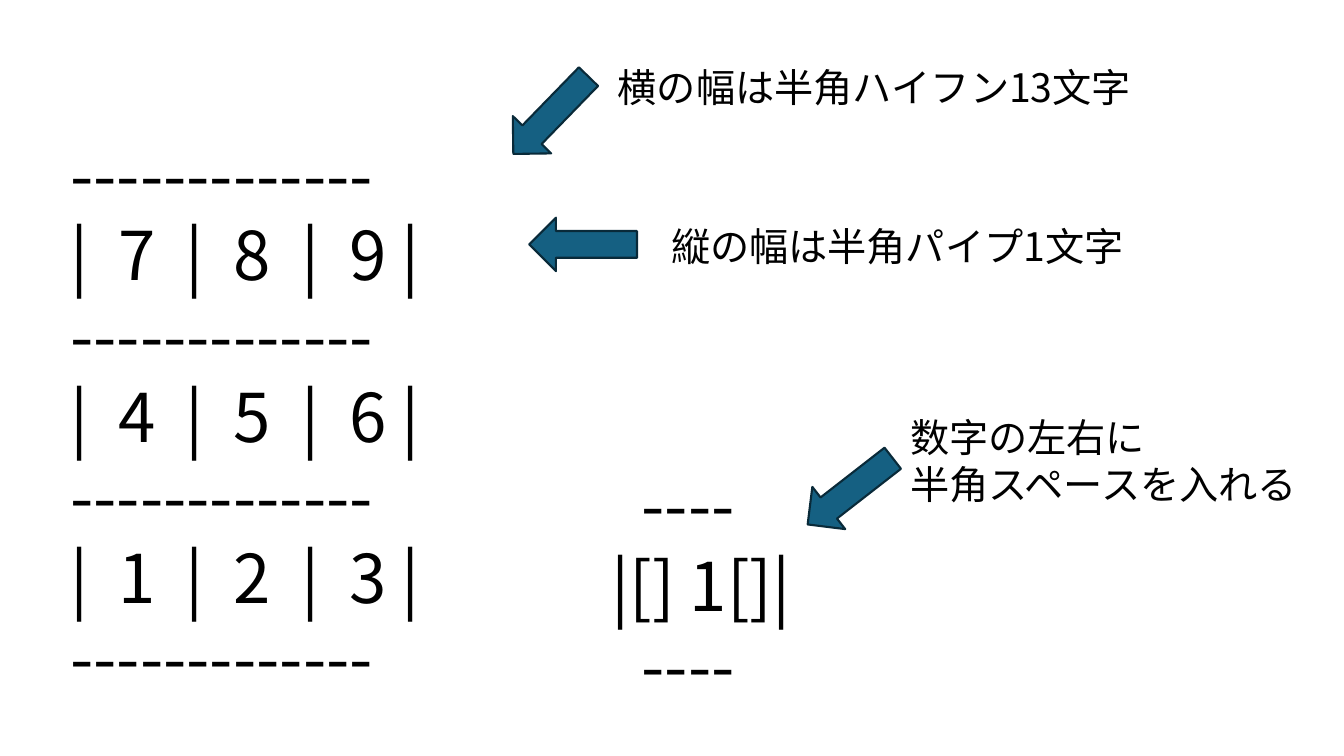
from lxml.etree import SubElement
from pptx import Presentation
from pptx.dml.color import RGBColor
from pptx.enum.shapes import MSO_SHAPE
from pptx.enum.text import MSO_AUTO_SIZE
from pptx.oxml.ns import qn
from pptx.util import Pt

FONT = "Noto Sans CJK JP"
BLACK, ARROW_FILL, ARROW_LINE = "000000", "156082", "092A39"
SPACE = 10.75
GRID_SIZE, NOTE_SIZE = 48, 28

KEY_ROWS = [(7, 8, 9), (4, 5, 6), (1, 2, 3)]
KEYPAD_BOX = (0, 91.4, 479.5, 414.8)
SINGLE_KEY = [("----", 6), ("|[] 1[]|", 4), ("----", 6)]
SINGLE_KEY_BOX = (386.6, 327.5, 479.5, 182.2)

NOTES = [
    (["横の幅は半角ハイフン13文字"], (434.2, 41.8, 385.2, 41)),
    (["縦の幅は半角パイプ1文字"], (472.3, 155.5, 341.3, 41)),
    (["数字の左右に", "半角スペースを入れる"], (643, 291.6, 297.4, 74.9)),
]
ARROW_WIDTH, ARROW_LENGTH = 38.2, 77
ARROWS = [(374.4, 43.9, 44.2), (397.4, 136.1, 90), (588.2, 312.5, 52.1)]


def color(hex_code):
    return RGBColor.from_string(hex_code)


def add_text(slide, lines, box, size, indents=None):
    area = slide.shapes.add_textbox(*map(Pt, box))
    frame = area.text_frame
    frame.word_wrap = True
    frame.auto_size = MSO_AUTO_SIZE.SHAPE_TO_FIT_TEXT
    for index, line in enumerate(lines):
        paragraph = frame.add_paragraph() if index else frame.paragraphs[0]
        if indents:
            properties = paragraph._p.get_or_add_pPr()
            properties.set("marL", str(Pt(indents[index])))
            properties.set("indent", "0")
        run = paragraph.add_run()
        run.text = line
        run.font.size = Pt(size)
        run.font.name = FONT
        run.font.color.rgb = color(BLACK)
        SubElement(run._r.get_or_add_rPr(), qn("a:ea"), typeface=FONT)


def add_arrow(slide, left, top, rotation):
    arrow = slide.shapes.add_shape(
        MSO_SHAPE.DOWN_ARROW, Pt(left), Pt(top), Pt(ARROW_WIDTH), Pt(ARROW_LENGTH)
    )
    arrow.rotation = rotation
    arrow.shadow.inherit = False
    arrow.fill.solid()
    arrow.fill.fore_color.rgb = color(ARROW_FILL)
    arrow.line.color.rgb = color(ARROW_LINE)
    arrow.line.width = Pt(1.5)


def main():
    deck = Presentation()
    deck.slide_width, deck.slide_height = Pt(960), Pt(540)
    slide = deck.slides.add_slide(deck.slide_layouts[6])

    border = "-" * 13
    keypad = [border]
    for keys in KEY_ROWS:
        keypad += ["|  {}  |  {}  |  {} |".format(*keys), border]
    add_text(slide, keypad, KEYPAD_BOX, GRID_SIZE, [4 * SPACE] * len(keypad))

    key_lines = [line for line, _ in SINGLE_KEY]
    key_indents = [spaces * SPACE for _, spaces in SINGLE_KEY]
    add_text(slide, key_lines, SINGLE_KEY_BOX, GRID_SIZE, key_indents)

    for lines, box in NOTES:
        add_text(slide, lines, box, NOTE_SIZE)
    for left, top, rotation in ARROWS:
        add_arrow(slide, left, top, rotation)

    deck.save("out.pptx")


if __name__ == "__main__":
    main()
